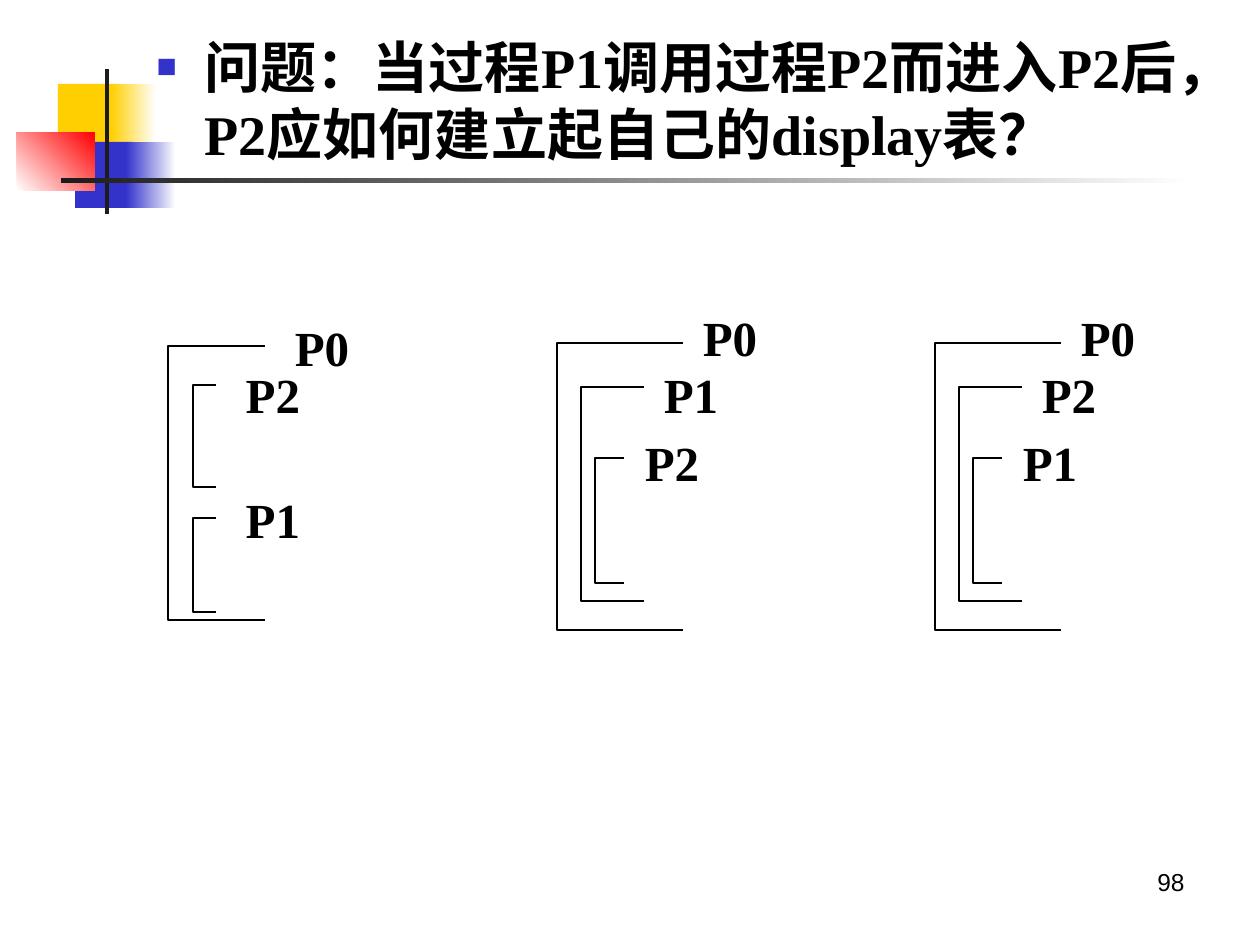
from lxml.etree import SubElement
from pptx import Presentation
from pptx.dml.color import RGBColor
from pptx.enum.shapes import MSO_SHAPE
from pptx.enum.text import MSO_ANCHOR, MSO_AUTO_SIZE, PP_ALIGN
from pptx.oxml.ns import qn
from pptx.util import Emu, Pt

COLORS = {"black": "000000", "white": "FFFFFF", "yellow": "FFCF01",
          "blue": "3333CC", "red": "FF0000", "charcoal": "1C1C1C"}
SCALE = 914400 / 126
QUESTION = "问题：当过程P1调用过程P2而进入P2后，P2应如何建立起自己的display表？"
QUESTION_BOX = (144, 26, 1092, 158)
PAGE_NUMBER = "98"
PAGE_NUMBER_BOX = (903, 861, 294, 65)

# box, colours from start to end, gradient angle
DECORATIONS = [
    ((58, 84, 60, 66), ["yellow"], 0),
    ((111, 84, 45, 66), ["yellow", "white"], 0),
    ((75, 142, 58, 66), ["blue"], 0),
    ((126, 142, 50, 66), ["blue", "white"], 0),
    ((17, 132, 78, 59), ["white", "red"], 45),
    ((105, 69, 4, 145), ["charcoal"], 0),
    ((61, 178, 1134, 5), ["charcoal", "white"], 0),
]

# brackets: left, top, right, bottom; labels: left, top
SIBLING_BRACKETS = [(168, 346, 265, 620), (193, 385, 216, 487), (193, 518, 216, 612)]
SIBLING_LABELS = [(265, 315), (216, 362), (216, 487)]
NESTED_BRACKETS = [(557, 343, 683, 630), (581, 387, 644, 601), (595, 458, 624, 583)]
NESTED_LABELS = [(673, 305), (634, 362), (615, 430)]
LABEL_SIZE = (114, 64)
DIAGRAMS = [
    (0, SIBLING_BRACKETS, SIBLING_LABELS, ["P0", "P2", "P1"]),
    (0, NESTED_BRACKETS, NESTED_LABELS, ["P0", "P1", "P2"]),
    (378, NESTED_BRACKETS, NESTED_LABELS, ["P0", "P2", "P1"]),
]


def rgb(name):
    return RGBColor.from_string(COLORS[name])


def emu(*pixels):
    return [Emu(round(pixel * SCALE)) for pixel in pixels]


def style(paragraph, size, name, bold=False):
    font = paragraph.font
    font.size, font.name, font.bold = Pt(size), name, bold
    font.color.rgb = rgb("black")


def add_decoration(shapes, box, colors, angle):
    shape = shapes.add_shape(MSO_SHAPE.RECTANGLE, *emu(*box))
    shape.shadow.inherit = False
    shape.line.fill.background()
    if len(colors) == 1:
        shape.fill.solid()
        shape.fill.fore_color.rgb = rgb(colors[0])
        return
    shape.fill.gradient()
    shape.fill.gradient_angle = angle
    for stop, color in zip(shape.fill.gradient_stops, colors):
        stop.color.rgb = rgb(color)


def add_text(shapes, box, text, alignment, wrap, anchor):
    frame = shapes.add_textbox(*emu(*box)).text_frame
    frame.word_wrap = wrap
    frame.vertical_anchor = anchor
    paragraph = frame.paragraphs[0]
    paragraph.text = text
    paragraph.alignment = alignment
    return paragraph


def add_bracket(shapes, left, top, right, bottom):
    builder = shapes.build_freeform(right, top, SCALE)
    builder.add_line_segments([(left, top), (left, bottom), (right, bottom)], close=False)
    bracket = builder.convert_to_shape()
    bracket.shadow.inherit = False
    bracket.fill.background()
    bracket.line.color.rgb = rgb("black")
    bracket.line.width = Pt(1.5)


def add_diagram(slide, offset, brackets, positions, names):
    shapes = slide.shapes.add_group_shape().shapes
    for left, top, right, bottom in brackets:
        add_bracket(shapes, left + offset, top, right + offset, bottom)
    for (left, top), name in zip(positions, names):
        label = add_text(shapes, (left + offset, top, *LABEL_SIZE), name,
                         PP_ALIGN.CENTER, False, MSO_ANCHOR.MIDDLE)
        style(label, 28, "Times New Roman", True)


def fill_question(body):
    body.left, body.top, body.width, body.height = emu(*QUESTION_BOX)
    frame = body.text_frame
    frame.auto_size = MSO_AUTO_SIZE.NONE
    paragraph = frame.paragraphs[0]
    paragraph.text = QUESTION
    paragraph.space_before = Pt(8)
    properties = paragraph._p.get_or_add_pPr()
    indent = emu(48)[0]
    properties.set("marL", str(indent))
    properties.set("indent", str(-indent))
    bullet_color = SubElement(properties, qn("a:buClr"))
    SubElement(bullet_color, qn("a:srgbClr"), val=COLORS["blue"])
    SubElement(properties, qn("a:buSzPct"), val="60000")
    SubElement(properties, qn("a:buFont"), typeface="Arial")
    SubElement(properties, qn("a:buChar"), char="■")
    style(paragraph, 32, "Times New Roman", True)


def main():
    """Build the slide asking how P2 sets up its display table."""
    presentation = Presentation()
    presentation.slide_width, presentation.slide_height = emu(1260, 945)
    slide = presentation.slides.add_slide(presentation.slide_layouts[1])
    title = slide.shapes.title.element
    title.getparent().remove(title)
    for decoration in DECORATIONS:
        add_decoration(slide.shapes, *decoration)
    number = add_text(slide.shapes, PAGE_NUMBER_BOX, PAGE_NUMBER,
                      PP_ALIGN.RIGHT, True, MSO_ANCHOR.TOP)
    style(number, 14, "Arial")
    body = slide.placeholders[1]
    fill_question(body)
    slide.shapes._spTree.append(body.element)
    for diagram in DIAGRAMS:
        add_diagram(slide, *diagram)
    presentation.save("out.pptx")


main()
